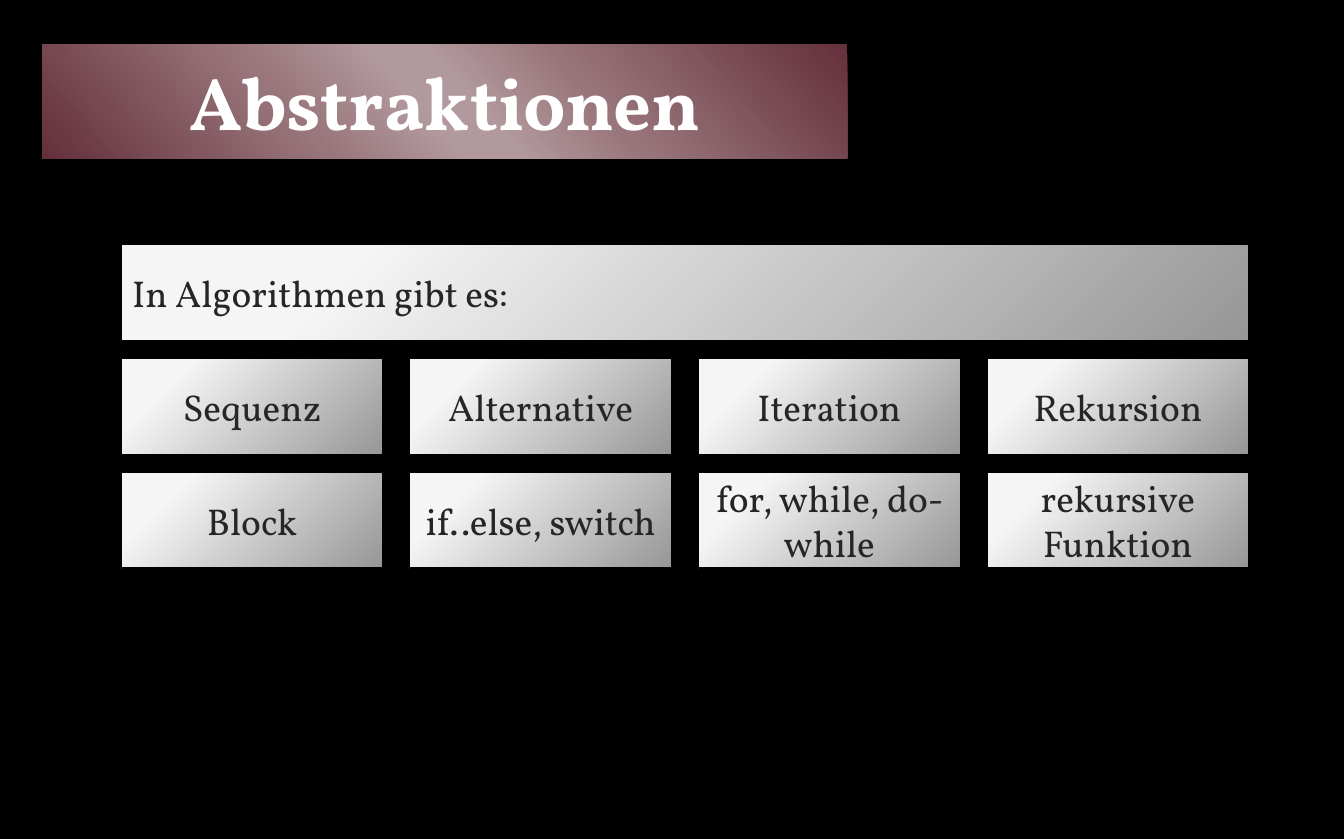
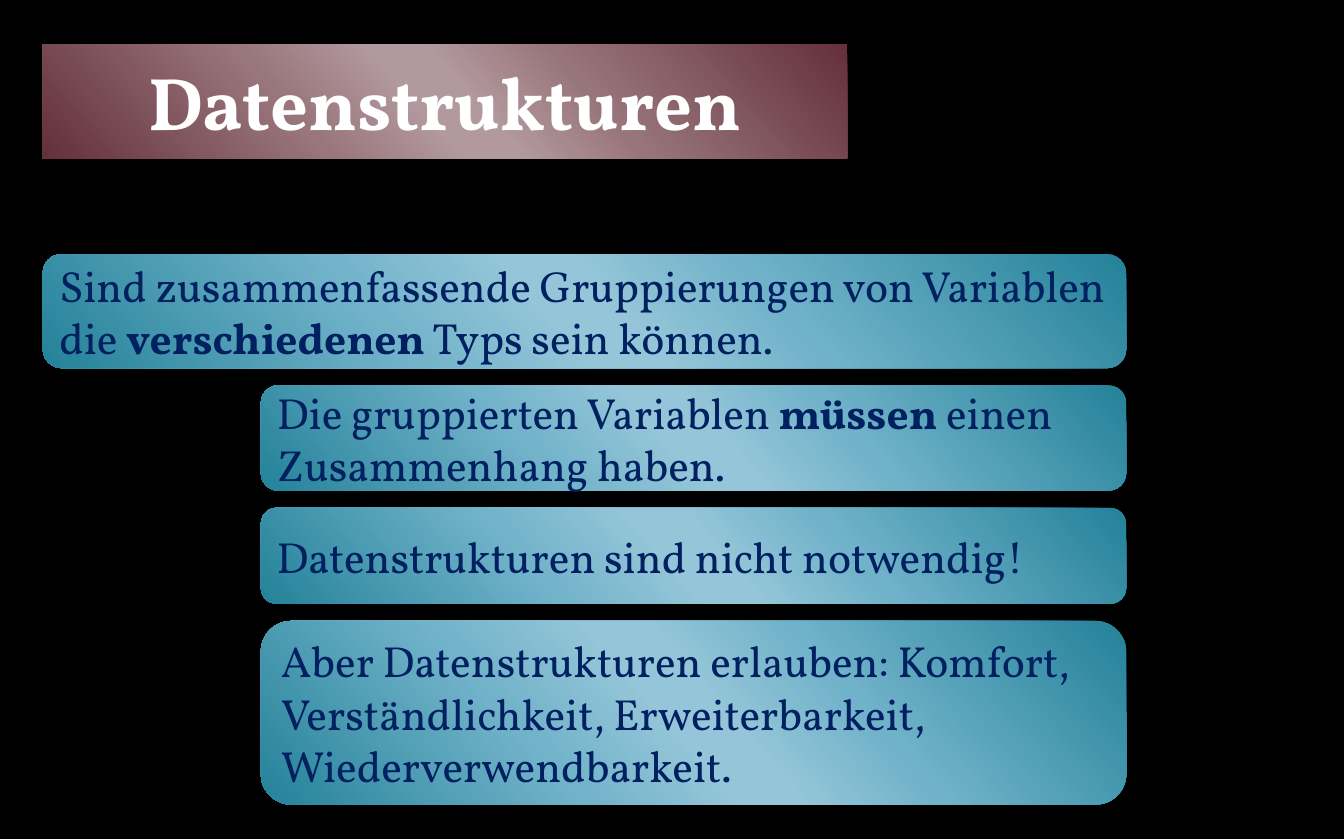
from lxml.etree import SubElement
from pptx import Presentation
from pptx.dml.color import RGBColor
from pptx.enum.shapes import MSO_SHAPE as Preset
from pptx.enum.text import MSO_ANCHOR as Anchor, MSO_AUTO_SIZE as AutoSize, PP_ALIGN as Align
from pptx.oxml.ns import qn
from pptx.util import Cm, Pt

FONT = "Vollkorn"
BLACK, WHITE, NAVY, CHARCOAL = "000000", "FFFFFF", "002060", "262626"
WINE_STOPS = [(0, "64303B"), (33, "98757B"), (47, "B2999D"),
              (53, "B2999D"), (68, "99767C"), (100, "64303B")]
TEAL_STOPS = [(0, "248299"), (33, "70B2C9"), (47, "94C5D8"),
              (53, "94C5D8"), (68, "72B3CA"), (100, "248299")]
SILVER_STOPS = [(20, "F5F5F5"), (100, "979797")]
SHEEN_ANGLE = 139

MARGIN = 0.97
TITLE_BOX = (MARGIN, 1, 18.26, 2.59)

GRID_LEFT, GRID_TOP = 2.75, 5.56
CELL_WIDTH, CELL_HEIGHT = 5.94, 2.18
COLUMN_STEP, ROW_STEP = 6.55, 2.58
CONSTRUCTS = [
    ("Sequenz", "Block"),
    ("Alternative", "if..else, switch"),
    ("Iteration", "for, while, do-while"),
    ("Rekursion", "rekursive Funktion"),
]

CARDS_TOP, CARDS_RIGHT, CARD_GAP, CARD_INDENT = 5.77, 25.56, 0.39, 5.92
CARDS = [
    (MARGIN, 2.59, "Sind zusammenfassende Gruppierungen von Variablen die "
                   "**verschiedenen** Typs sein können."),
    (CARD_INDENT, 2.39, "Die gruppierten Variablen **müssen** einen Zusammenhang haben."),
    (CARD_INDENT, 2.18, "Datenstrukturen sind nicht notwendig!"),
    (CARD_INDENT, 4.17, "Aber Datenstrukturen erlauben: Komfort, Verständlichkeit, "
                        "Erweiterbarkeit, Wiederverwendbarkeit."),
]


def rgb(code):
    """Turn a hex string into a colour."""
    return RGBColor.from_string(code)


def add_gradient(shape, stops):
    """Append a gradient fill with the given stops and return its element."""
    gradient = SubElement(shape._element.spPr, qn("a:gradFill"), rotWithShape="1")
    stop_list = SubElement(gradient, qn("a:gsLst"))
    for percent, code in stops:
        stop = SubElement(stop_list, qn("a:gs"), pos=str(percent * 1000))
        SubElement(stop, qn("a:srgbClr"), val=code)
    return gradient


def fill_sheen(shape, stops):
    """Fill a shape with a diagonal sheen and no outline."""
    gradient = add_gradient(shape, stops)
    SubElement(gradient, qn("a:lin"), ang=str(SHEEN_ANGLE * 60000), scaled="0")
    shape.line.fill.background()


def fill_silver(shape):
    """Fill a shape with silver that radiates from its top left corner."""
    gradient = add_gradient(shape, SILVER_STOPS)
    glow = SubElement(gradient, qn("a:path"), path="circle")
    SubElement(glow, qn("a:fillToRect"), l="-15000", t="-15000", r="115000", b="115000")
    shape.line.color.rgb = rgb(BLACK)
    shape.line.width = Pt(0.75)


def write(shape, text, size, color, bold=False, align=Align.LEFT):
    """Write text into a shape, with **marked** words in bold."""
    frame = shape.text_frame
    frame.word_wrap = True
    frame.auto_size = AutoSize.NONE
    frame.vertical_anchor = Anchor.MIDDLE
    paragraph = frame.paragraphs[0]
    paragraph.alignment = align
    for index, part in enumerate(text.split("**")):
        run = paragraph.add_run()
        run.text = part
        run.font.name = FONT
        run.font.size = Pt(size)
        run.font.color.rgb = rgb(color)
        run.font.bold = bold or index % 2 == 1


def add_box(slide, preset, left, top, width, height):
    """Add a preset shape without shadow, measured in centimetres."""
    box = slide.shapes.add_shape(preset, Cm(left), Cm(top), Cm(width), Cm(height))
    box.shadow.inherit = False
    effects = box._element.spPr.find(qn("a:effectLst"))
    box._element.spPr.remove(effects)
    return box


def add_titled_slide(deck, heading):
    """Add a slide whose title sits in a rounded wine-red band."""
    slide = deck.slides.add_slide(deck.slide_layouts[5])
    title = slide.shapes.title
    title.left, title.top, title.width, title.height = map(Cm, TITLE_BOX)
    outline = SubElement(title._element.spPr, qn("a:prstGeom"), prst="roundRect")
    SubElement(outline, qn("a:avLst"))
    fill_sheen(title, WINE_STOPS)
    write(title, heading, size=48, color=WHITE, bold=True, align=Align.CENTER)
    return slide


def add_tile(slide, text, column, row, span=1, align=Align.CENTER):
    """Add a silver tile at a place in the grid."""
    width = CELL_WIDTH + (span - 1) * COLUMN_STEP
    tile = add_box(slide, Preset.RECTANGLE, GRID_LEFT + column * COLUMN_STEP,
                   GRID_TOP + row * ROW_STEP, width, CELL_HEIGHT)
    fill_silver(tile)
    tile.shadow.inherit = False
    write(tile, text, size=24, color=CHARCOAL, align=align)


def add_card(slide, text, left, top, height):
    """Add a rounded teal card that ends at the shared right edge."""
    card = add_box(slide, Preset.ROUNDED_RECTANGLE, left, top, CARDS_RIGHT - left, height)
    fill_sheen(card, TEAL_STOPS)
    card.shadow.inherit = False
    write(card, text, size=28, color=NAVY)


def build_abstractions(deck):
    """Build the slide with the grid of control structures."""
    slide = add_titled_slide(deck, "Abstraktionen")
    add_tile(slide, "In Algorithmen gibt es:", 0, 0, span=len(CONSTRUCTS), align=Align.LEFT)
    for row, names in enumerate(zip(*CONSTRUCTS), start=1):
        for column, name in enumerate(names):
            add_tile(slide, name, column, row)


def build_data_structures(deck):
    """Build the slide with the stacked statements."""
    slide = add_titled_slide(deck, "Datenstrukturen")
    top = CARDS_TOP
    for left, height, statement in CARDS:
        add_card(slide, statement, left, top, height)
        top += height + CARD_GAP


def main():
    """Build and save the presentation."""
    deck = Presentation()
    deck.slide_width, deck.slide_height = Cm(30.5), Cm(19.05)
    backdrop = deck.slide_master.background.fill
    backdrop.solid()
    backdrop.fore_color.rgb = rgb(BLACK)
    build_abstractions(deck)
    build_data_structures(deck)
    deck.save("out.pptx")


if __name__ == "__main__":
    main()
